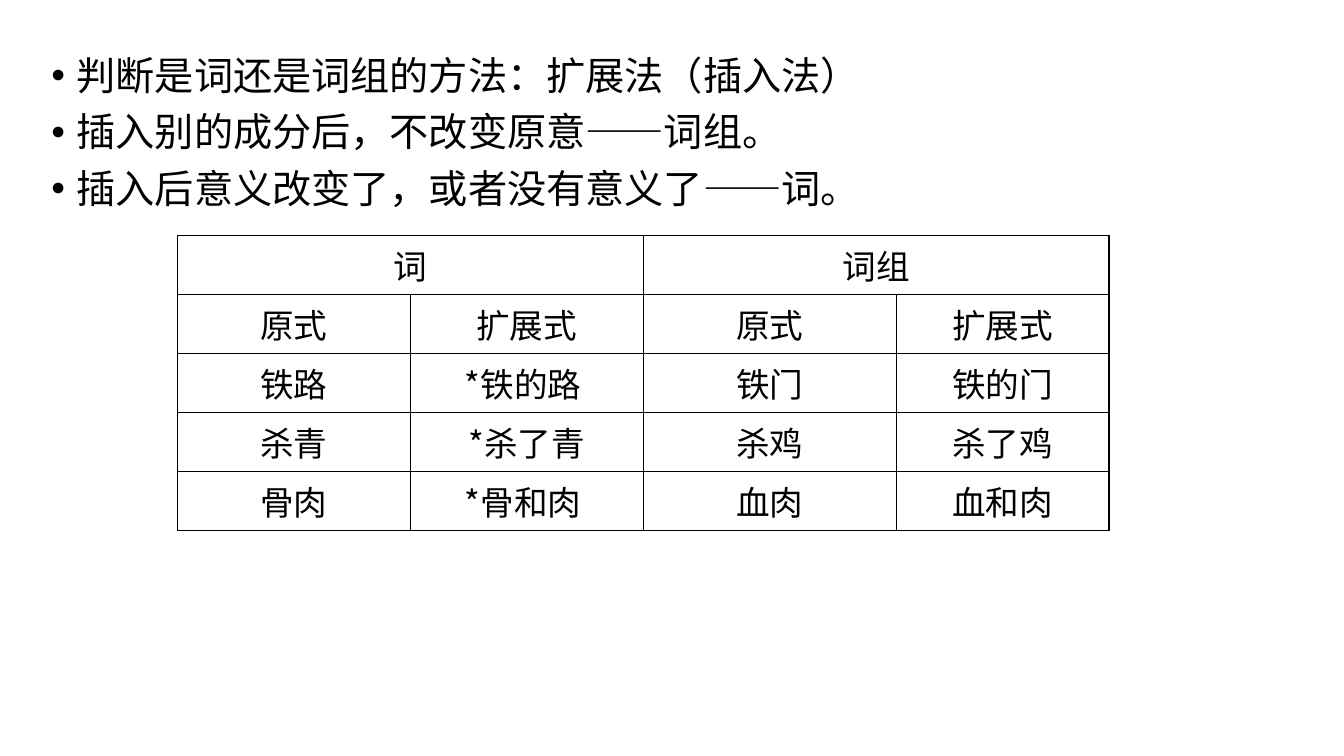
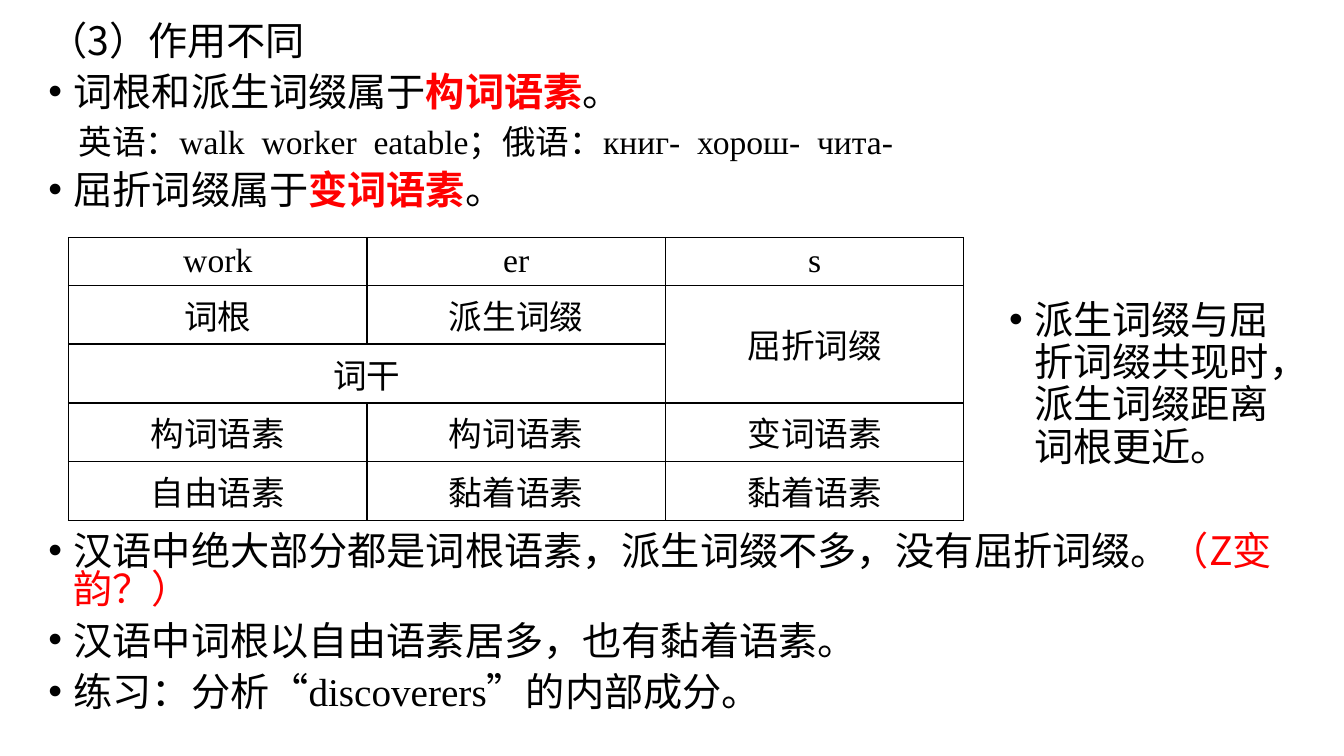
from lxml import etree
from pptx import Presentation
from pptx import util as u
from pptx.dml.color import RGBColor
from pptx.enum import text
from pptx.oxml import ns

BLACK = RGBColor(0x00, 0x00, 0x00)
RED = RGBColor(0xFF, 0x00, 0x00)
HAN_FONT = "Noto Sans CJK SC"
LATIN_FONT = "Times New Roman"
BODY_SIZE, SMALL_SIZE = u.Pt(28), u.Pt(24)
ROW_HEIGHT = 0.58

# Run formats
KEY_TERM = {"bold": True, "color": RED}
QUESTION = {"color": RED}
FOREIGN = {"name": LATIN_FONT}
EXAMPLE = {"name": LATIN_FONT, "size": SMALL_SIZE}

# Paragraph formats: left margin, first-line indent, bullet
BULLET = {"margin": 0.25, "indent": -0.25, "bullet": True}
PLAIN = {"margin": 0, "indent": 0, "bullet": False}
INDENTED = {**PLAIN, "margin": 0.3}


class Lesson:
    """Holds the lesson's style and the slide being built."""

    def __init__(self):
        self.deck = Presentation()
        self.deck.slide_width = u.Inches(13.33)
        self.deck.slide_height = u.Inches(7.5)
        self.slide = None

    def new_slide(self):
        self.slide = self.deck.slides.add_slide(self.deck.slide_layouts[1])
        heading = self.slide.shapes.title.element
        heading.getparent().remove(heading)

    def write_run(self, paragraph, wording, style):
        run = paragraph.add_run()
        run.text = wording
        values = {"name": HAN_FONT, "size": BODY_SIZE, "bold": False, **style}
        run.font.color.rgb = values.pop("color", BLACK)
        for key, value in values.items():
            setattr(run.font, key, value)
        east_asian = etree.Element(ns.qn("a:ea"), typeface=HAN_FONT)
        run.font._element.find(ns.qn("a:latin")).addnext(east_asian)

    def write_list(self, frame, items, line_spacing):
        """Each item is (format, runs); a run is (wording, format)."""
        frame.word_wrap = True
        for number, (layout, runs) in enumerate(items):
            paragraph = frame.add_paragraph() if number else frame.paragraphs[0]
            props = paragraph._p.get_or_add_pPr()
            props.set("marL", str(u.Inches(layout["margin"])))
            props.set("indent", str(u.Inches(layout["indent"])))
            if layout["bullet"]:
                etree.SubElement(props, ns.qn("a:buFont"), typeface="Arial")
                etree.SubElement(props, ns.qn("a:buChar"), char="•")
            else:
                etree.SubElement(props, ns.qn("a:buNone"))
            paragraph.line_spacing = line_spacing
            paragraph.space_before = u.Pt(layout.get("before", 10) if number else 0)
            for wording, style in runs:
                self.write_run(paragraph, wording, style)

    def body(self, box, items, line_spacing):
        holder = self.slide.placeholders[1]
        for key, value in zip(("left", "top", "width", "height"), box):
            setattr(holder, key, u.Inches(value))
        holder.text_frame.auto_size = text.MSO_AUTO_SIZE.NONE
        self.write_list(holder.text_frame, items, line_spacing)

    def side_note(self, box, items):
        note = self.slide.shapes.add_textbox(*map(u.Inches, box))
        self.write_list(note.text_frame, items, 0.9)
        note.text_frame.auto_size = text.MSO_AUTO_SIZE.SHAPE_TO_FIT_TEXT

    def border(self, cell):
        props = cell._tc.get_or_add_tcPr()
        for side in ("lnL", "lnR", "lnT", "lnB"):
            line = etree.SubElement(props, ns.qn(f"a:{side}"), w=str(u.Pt(1)))
            fill = etree.SubElement(line, ns.qn("a:solidFill"))
            etree.SubElement(fill, ns.qn("a:srgbClr"), val=str(BLACK))

    def table(self, left, top, widths, heights, rows, merges, style):
        """Merges are pairs of (row, column) corners."""
        grid = self.slide.shapes.add_table(
            len(rows), len(widths), u.Inches(left), u.Inches(top),
            u.Inches(sum(widths)), u.Inches(sum(heights))).table
        grid.first_row = grid.horz_banding = False
        for column, width in zip(grid.columns, widths):
            column.width = u.Inches(width)
        for row, height, wordings in zip(grid.rows, heights, rows):
            row.height = u.Inches(height)
            for cell, wording in zip(row.cells, wordings):
                self.border(cell)
                cell.fill.background()
                cell.vertical_anchor = text.MSO_ANCHOR.MIDDLE
                paragraph = cell.text_frame.paragraphs[0]
                paragraph.alignment = text.PP_ALIGN.CENTER
                if wording:
                    self.write_run(paragraph, wording, style)
        for first, last in merges:
            grid.cell(*first).merge(grid.cell(*last))


def word_or_phrase(lesson):
    lesson.new_slide()
    # Expansion test
    rules = ("判断是词还是词组的方法：扩展法（插入法）",
             "插入别的成分后，不改变原意——词组。",
             "插入后意义改变了，或者没有意义了——词。")
    lesson.body((0.41, 0.51, 12.37, 6.58),
                [(BULLET, [(rule, {})]) for rule in rules], 0.9)
    # Words against phrases
    comparison = [("词", "", "词组", ""),
                  ("原式", "扩展式") * 2,
                  ("铁路", "*铁的路 ", "铁门", "铁的门"),
                  ("杀青", "*杀了青", "杀鸡", "杀了鸡"),
                  ("骨肉", "*骨和肉 ", "血肉", "血和肉")]
    lesson.table(1.76, 2.34, [2.31, 2.31, 2.51, 2.11],
                 [ROW_HEIGHT] * len(comparison), comparison,
                 [((0, 0), (0, 1)), ((0, 2), (0, 3))], {"size": SMALL_SIZE})


def morpheme_roles(lesson):
    lesson.new_slide()
    # Roles, then conclusions below the table
    lesson.body((0.38, 0.2, 12.57, 6.97), [
        (PLAIN, [("（3）作用不同", {})]),
        (BULLET, [("词根和派生词缀属于", {}), ("构词语素", KEY_TERM), ("。", {})]),
        (INDENTED, [("英语：walk  worker  eatable；俄语：книг-  хорош-  чита-",
                     EXAMPLE)]),
        (BULLET, [("屈折词缀属于", {}), ("变词语素", KEY_TERM), ("。", {})]),
        ({**BULLET, "before": 231},
         [("汉语中绝大部分都是词根语素，派生词缀不多，没有屈折词缀。", {}),
          ("（Z变韵？）", QUESTION)]),
        (BULLET, [("汉语中词根以自由语素居多，也有黏着语素。", {})]),
        (BULLET, [("练习：分析“", {}), ("discoverers", FOREIGN),
                  ("”的内部成分。", {})]),
    ], 0.8)
    # Parts of "workers"
    analysis = [("work", "er", "s"),
                ("词根", "派生词缀", "屈折词缀"),
                ("词干", "", ""),
                ("构词语素", "构词语素", "变词语素"),
                ("自由语素", "黏着语素", "黏着语素")]
    lesson.table(0.68, 2.36, [2.96] * 3, [0.47] + [ROW_HEIGHT] * 4, analysis,
                 [((1, 2), (2, 2)), ((2, 0), (2, 1))], EXAMPLE)
    # Order of affixes
    lesson.side_note((9.91, 2.93, 3.04, 1.8), [
        (BULLET, [("派生词缀与屈折词缀共现时，派生词缀距离词根更近。", {})])])


def main():
    lesson = Lesson()
    word_or_phrase(lesson)
    morpheme_roles(lesson)
    lesson.deck.save("out.pptx")


if __name__ == "__main__":
    main()
